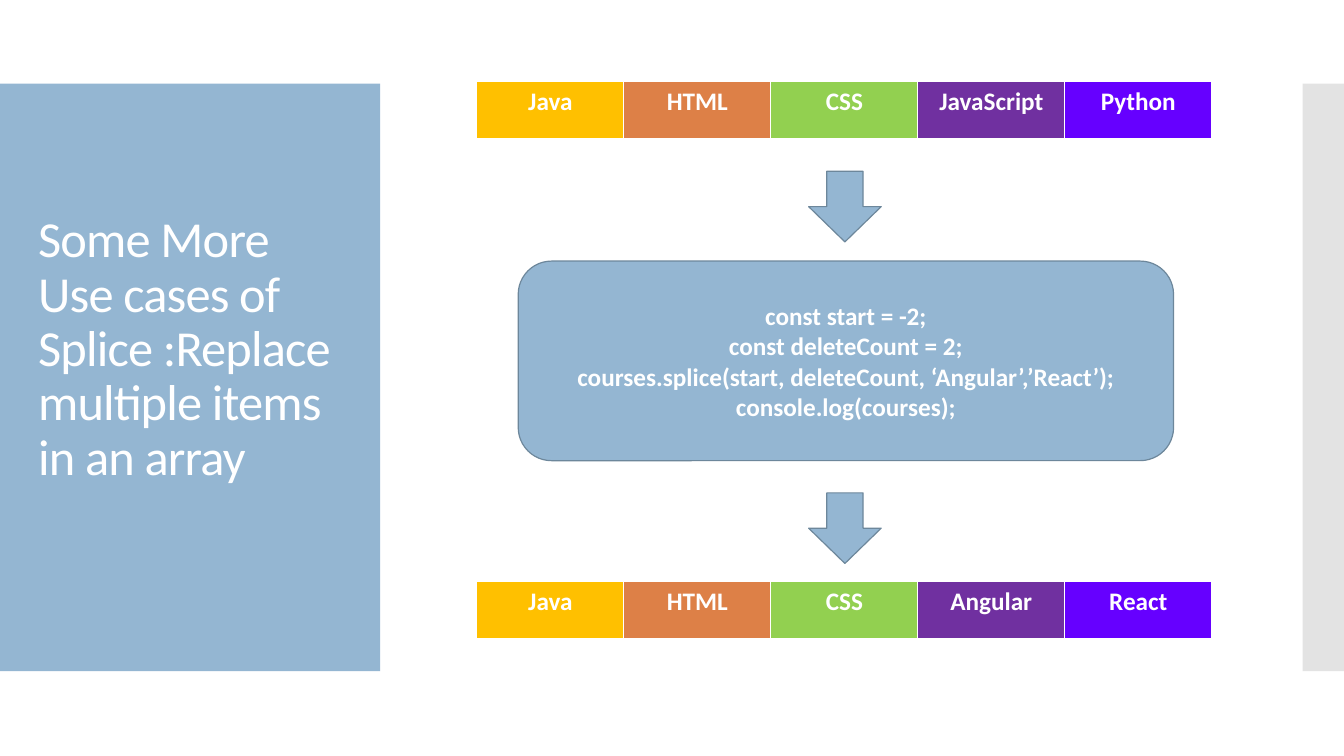
from dataclasses import dataclass

from lxml import etree
from pptx import Presentation
from pptx.dml.color import RGBColor
from pptx.enum.shapes import MSO_SHAPE
from pptx.enum.text import MSO_ANCHOR, PP_ALIGN
from pptx.oxml import parse_xml
from pptx.oxml.ns import nsdecls, qn
from pptx.util import Inches, Pt

RECTANGLE = MSO_SHAPE.RECTANGLE
ROUNDED = MSO_SHAPE.ROUNDED_RECTANGLE
DOWN_ARROW = MSO_SHAPE.DOWN_ARROW
MIDDLE = MSO_ANCHOR.MIDDLE
LEFT, CENTER = PP_ALIGN.LEFT, PP_ALIGN.CENTER


@dataclass(frozen=True)
class Theme:
    font: str = "Calibri"
    title_size: float = 36
    body_size: float = 18
    accent: str = "94B6D2"
    outline: str = "6D879B"
    outline_width: float = 0.85
    side_strip: str = "C8C8C8"
    light: str = "FFFFFF"
    course_fills: tuple = ("FFC000", "DD8047", "92D050", "7030A0", "6600FF")


def write_text(frame, text, *, font, size, color, bold=False, align=LEFT,
               line_spacing=None, tracking=None):
    """Fill a frame, one paragraph per line; tracking is in points."""
    frame.word_wrap = True
    for index, line in enumerate(text.split("\n")):
        paragraph = frame.add_paragraph() if index else frame.paragraphs[0]
        paragraph.alignment = align
        if line_spacing:
            paragraph.line_spacing = line_spacing
        run = paragraph.add_run()
        run.text = line
        run.font.name = font
        run.font.size = Pt(size)
        run.font.bold = bold
        run.font.color.rgb = RGBColor.from_string(color)
        if tracking:
            run.font._element.set("spc", str(round(tracking * 100)))


class SlideBuilder:
    def __init__(self, slide, theme):
        self.slide = slide
        self.theme = theme

    def block(self, kind, left, top, width, height, fill, outlined=False, opacity=None):
        shape = self.slide.shapes.add_shape(
            kind, Inches(left), Inches(top), Inches(width), Inches(height))
        shape.shadow.inherit = False
        shape.fill.solid()
        shape.fill.fore_color.rgb = RGBColor.from_string(fill)
        if opacity is not None:
            color = shape._element.spPr.find(qn("a:solidFill"))[0]
            etree.SubElement(color, qn("a:alpha"), val=str(opacity * 1000))
        if outlined:
            shape.line.color.rgb = RGBColor.from_string(self.theme.outline)
            shape.line.width = Pt(self.theme.outline_width)
        else:
            shape.line.fill.background()
        return shape

    def title(self, text, left, top, width, height):
        box = self.slide.shapes.add_textbox(
            Inches(left), Inches(top), Inches(width), Inches(height))
        frame = box.text_frame
        frame.vertical_anchor = MIDDLE
        frame.margin_bottom = Inches(0.59)
        write_text(frame, text, font=self.theme.font, size=self.theme.title_size,
                   color=self.theme.light, line_spacing=0.9, tracking=-0.6)

    def arrow(self, top):
        self.block(DOWN_ARROW, 8.02, top, 0.72, 0.7, self.theme.accent, outlined=True)

    def code_panel(self, code, left, top, width, height):
        panel = self.block(ROUNDED, left, top, width, height, self.theme.accent, outlined=True)
        panel.text_frame.vertical_anchor = MIDDLE
        self.strong_text(panel.text_frame, code)

    def strong_text(self, frame, text):
        write_text(frame, text, font=self.theme.font, size=self.theme.body_size,
                   color=self.theme.light, bold=True, align=CENTER)

    def course_row(self, courses, top):
        column_width, height = 1.458, 0.58
        table = self.slide.shapes.add_table(
            1, len(courses), Inches(4.73), Inches(top),
            Inches(column_width * len(courses)), Inches(height)).table
        table.first_row = table.horz_banding = False
        for column, (course, fill) in enumerate(zip(courses, self.theme.course_fills)):
            table.columns[column].width = Inches(column_width)
            cell = table.cell(0, column)
            cell.fill.solid()
            cell.fill.fore_color.rgb = RGBColor.from_string(fill)
            self.strong_text(cell.text_frame, course)
            self.cell_borders(cell)

    def cell_borders(self, cell):
        """Add borders ahead of the fill, as the schema requires."""
        properties = cell._tc.get_or_add_tcPr()
        for index, (side, width) in enumerate((("L", 1), ("R", 1), ("T", 1), ("B", 3))):
            properties.insert(index, parse_xml(
                f'<a:ln{side} {nsdecls("a")} w="{Pt(width)}"><a:solidFill>'
                f'<a:srgbClr val="{self.theme.light}"/></a:solidFill></a:ln{side}>'))


def main():
    deck = Presentation()
    deck.slide_width, deck.slide_height = Inches(13.33), Inches(7.5)
    theme = Theme()
    builder = SlideBuilder(deck.slides.add_slide(deck.slide_layouts[6]), theme)

    builder.block(RECTANGLE, 0, 0.83, 3.77, 5.83, theme.accent)
    builder.block(RECTANGLE, 12.92, 0.83, 0.41, 5.83, theme.side_strip, opacity=50)
    builder.title("Some More Use cases of Splice :Replace multiple items in an array",
                  0.28, 1.23, 3.22, 5.03)

    kept_courses = ["Java", "HTML", "CSS"]
    builder.course_row(kept_courses + ["JavaScript", "Python"], 0.81)
    builder.arrow(1.7)
    builder.code_panel(
        "const start = -2;\n"
        "const deleteCount = 2;\n"
        "courses.splice(start, deleteCount, ‘Angular’,’React’);\n"
        "console.log(courses);",
        5.14, 2.59, 6.5, 1.98)
    builder.arrow(4.89)
    builder.course_row(kept_courses + ["Angular", "React"], 5.77)

    deck.save("out.pptx")


if __name__ == "__main__":
    main()
